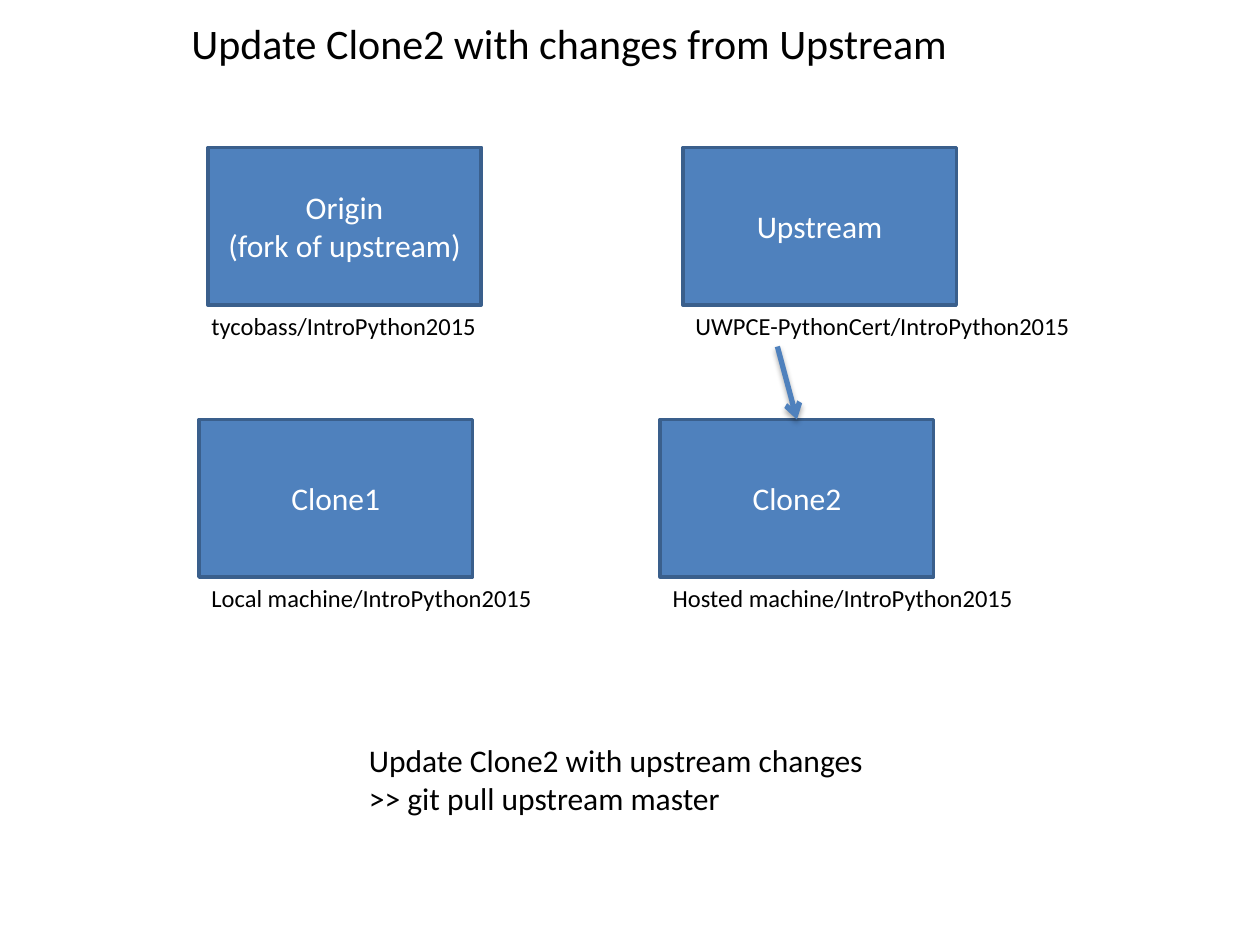
from dataclasses import dataclass

from lxml import etree
from pptx import Presentation
from pptx.dml.color import RGBColor
from pptx.enum.shapes import MSO_CONNECTOR, MSO_SHAPE
from pptx.enum.text import MSO_ANCHOR, MSO_AUTO_SIZE, PP_ALIGN
from pptx.oxml import parse_xml
from pptx.oxml.ns import nsdecls, qn
from pptx.util import Inches, Pt

RECTANGLE = MSO_SHAPE.RECTANGLE
STRAIGHT = MSO_CONNECTOR.STRAIGHT
MIDDLE = MSO_ANCHOR.MIDDLE
CENTER, LEFT = PP_ALIGN.CENTER, PP_ALIGN.LEFT
FIT_TEXT = MSO_AUTO_SIZE.SHAPE_TO_FIT_TEXT
TOP_SIDE = 0

BLUE, DARK_BLUE, WHITE, BLACK = "4F81BD", "3A5F8C", "FFFFFF", "000000"
BOX_WIDTH, BOX_HEIGHT = 2.17, 1.25
TOP_ROW, BOTTOM_ROW = 1.17, 3.33


@dataclass
class Repository:
    name: str
    left: float
    top: float
    location: str
    label_left: float
    label_width: float


@dataclass
class Note:
    text: str
    left: float
    top: float
    width: float
    height: float
    size: int


REPOSITORIES = [
    Repository("Origin\n(fork of upstream)", 1.65, TOP_ROW,
               "tycobass/IntroPython2015", 1.58, 2.32),
    Repository("Upstream", 5.42, TOP_ROW,
               "UWPCE-PythonCert/IntroPython2015", 5.42, 3.21),
    Repository("Clone1", 1.58, BOTTOM_ROW,
               "Local machine/IntroPython2015", 1.58, 2.77),
    Repository("Clone2", 5.24, BOTTOM_ROW,
               "Hosted machine/IntroPython2015", 5.24, 3.01),
]
NOTES = [
    Note("Update Clone2 with changes from Upstream", 1.42, 0.09, 6.25, 0.5, 24),
    Note("Update Clone2 with upstream changes\n>> git pull upstream master",
         2.83, 5.83, 4.17, 0.71, 18),
]


def color(value: str) -> RGBColor:
    return RGBColor.from_string(value)


def write_text(text_frame, text: str, size: int, text_color: str, alignment) -> None:
    text_frame.text = text
    font_format = {"name": "Calibri", "size": Pt(size)}
    for paragraph in text_frame.paragraphs:
        paragraph.alignment = alignment
        for run in paragraph.runs:
            for name, value in font_format.items():
                setattr(run.font, name, value)
            run.font.color.rgb = color(text_color)


def add_note(slide, note: Note) -> None:
    shape = slide.shapes.add_textbox(Inches(note.left), Inches(note.top),
                                     Inches(note.width), Inches(note.height))
    write_text(shape.text_frame, note.text, note.size, BLACK, LEFT)
    frame_format = {"word_wrap": False, "auto_size": FIT_TEXT}
    for name, value in frame_format.items():
        setattr(shape.text_frame, name, value)


def add_repository(slide, repository: Repository):
    shape = slide.shapes.add_shape(
        RECTANGLE, Inches(repository.left), Inches(repository.top),
        Inches(BOX_WIDTH), Inches(BOX_HEIGHT))
    shape.shadow.inherit = False
    shape.fill.solid()
    shape.fill.fore_color.rgb = color(BLUE)
    shape.line.color.rgb = color(DARK_BLUE)
    shape.line.width = Pt(2)
    shape.text_frame.vertical_anchor = MIDDLE
    write_text(shape.text_frame, repository.name, 18, WHITE, CENTER)
    add_note(slide, Note(repository.location, repository.label_left,
                         repository.top + BOX_HEIGHT,
                         repository.label_width, 0.34, 14))
    return shape


def add_pull_arrow(slide, left: float, top: float, target) -> None:
    connector = slide.shapes.add_connector(
        STRAIGHT, Inches(left), Inches(top), Inches(left), Inches(BOTTOM_ROW))
    connector.end_connect(target, TOP_SIDE)
    connector.line.color.rgb = color(BLUE)
    connector.line.width = Pt(3)
    # Arrowhead and soft shadow
    properties = connector.line._get_or_add_ln()
    etree.SubElement(properties, qn("a:tailEnd"), type="arrow")
    connector._element.spPr.append(parse_xml(
        f'<a:effectLst {nsdecls("a")}>'
        '<a:outerShdw blurRad="40000" dist="23000" dir="5400000" rotWithShape="0">'
        f'<a:srgbClr val="{BLACK}"><a:alpha val="35000"/></a:srgbClr>'
        '</a:outerShdw></a:effectLst>'))


def main() -> None:
    presentation = Presentation()
    presentation.slide_width, presentation.slide_height = Inches(10), Inches(7.5)
    slide = presentation.slides.add_slide(presentation.slide_layouts[6])

    # Title and command
    for note in NOTES:
        add_note(slide, note)

    # Repositories with their locations
    boxes = {repository.name: add_repository(slide, repository)
             for repository in REPOSITORIES}

    # Pull from Upstream into Clone2
    add_pull_arrow(slide, 6.17, 2.75, boxes["Clone2"])

    presentation.save("out.pptx")


if __name__ == "__main__":
    main()
